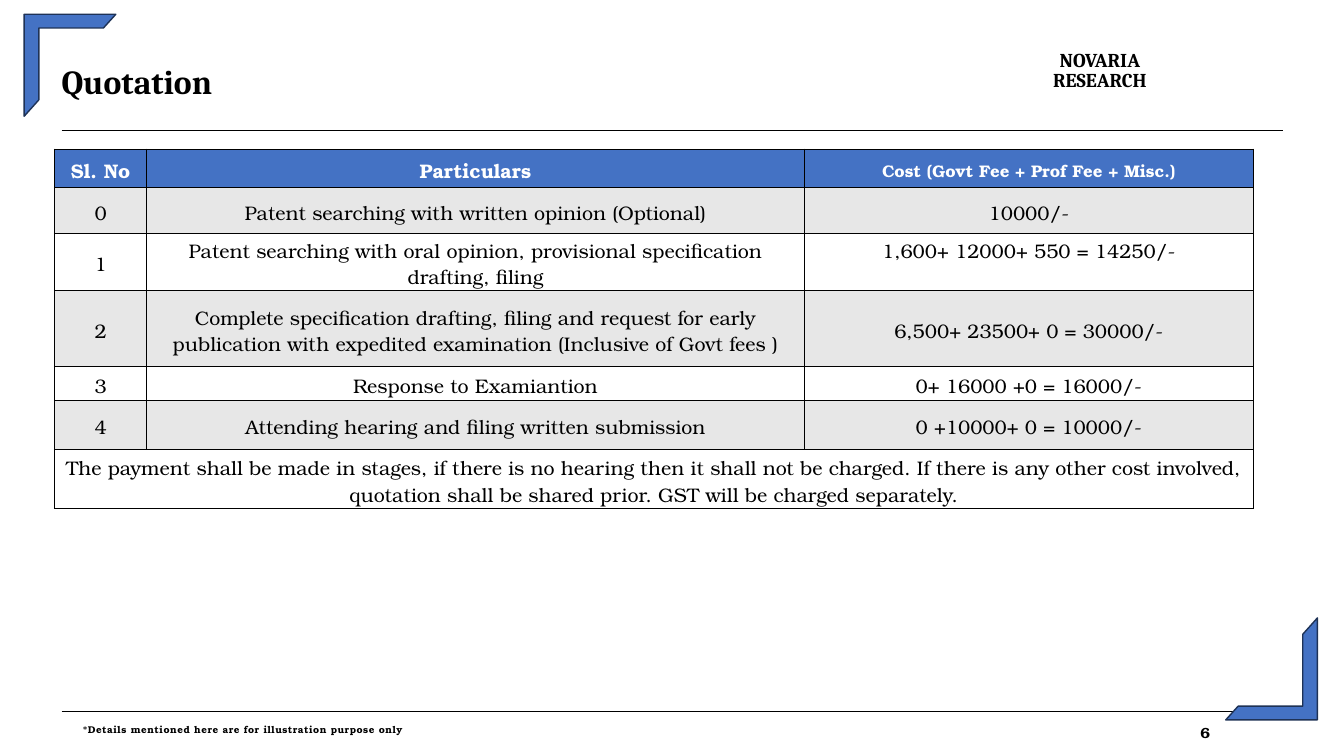
from lxml import etree
from pptx import Presentation
from pptx import util as u
from pptx.dml.color import RGBColor
from pptx.enum import shapes, text
from pptx.oxml.ns import qn

COLORS = {"black": "000000", "white": "FFFFFF", "blue": "4472C4",
          "navy": "1E3256", "grey": "E7E7E7"}
SERIF, BOOK = "Cambria", "TeX Gyre Bonum"
COLUMN_WIDTHS = [2.33, 16.57, 11.32]
ROW_HEIGHTS = [0.96, 1.16, 1.44, 1.91, 0.86, 1.24, 1.49]
QUOTATION = [
    ["Sl. No", "Particulars", "Cost (Govt Fee + Prof Fee + Misc.)"],
    ["0", "Patent searching with written opinion (Optional)", "10000/-"],
    ["1", "Patent searching with oral opinion, provisional specification drafting, filing",
     "1,600+ 12000+ 550 = 14250/-"],
    ["2", "Complete specification drafting, filing and request for early publication "
          "with expedited examination (Inclusive of Govt fees )",
     "6,500+ 23500+ 0 = 30000/-"],
    ["3", "Response to Examiantion", "0+ 16000 +0 = 16000/-"],
    ["4", "Attending hearing and filing written submission", "0 +10000+ 0 = 10000/-"],
    ["The payment shall be made in stages, if there is no hearing then it shall not be "
     "charged. If there is any other cost involved, quotation shall be shared prior. "
     "GST will be charged separately."],
]


def color(name):
    return RGBColor.from_string(COLORS[name])


class Deck:
    def __init__(self):
        self.presentation = Presentation()
        self.presentation.slide_width = u.Cm(33.87)
        self.presentation.slide_height = u.Cm(19.05)
        self.slide = self.presentation.slides.add_slide(self.presentation.slide_layouts[5])

    def set_text(self, frame, words, font, size, ink="black", bold=True, align="LEFT",
                 line_spacing=1.0, tracking=0):
        frame.text = words
        paragraph = frame.paragraphs[0]
        paragraph.alignment = text.PP_ALIGN[align]
        paragraph.line_spacing = line_spacing
        for run in paragraph.runs:
            for name, value in {"name": font, "size": u.Pt(size), "bold": bold}.items():
                setattr(run.font, name, value)
            run.font.color.rgb = color(ink)
            if tracking:
                run._r.get_or_add_rPr().set("spc", str(tracking))

    def fill_box(self, shape, words, font, size, **style):
        frame = shape.text_frame
        settings = {"margin_left": 0, "margin_right": 0, "margin_top": 0,
                    "margin_bottom": 0, "word_wrap": True,
                    "auto_size": text.MSO_AUTO_SIZE.NONE,
                    "vertical_anchor": text.MSO_ANCHOR.MIDDLE}
        for name, value in settings.items():
            setattr(frame, name, value)
        self.set_text(frame, words, font, size, **style)

    def title(self, words, left, top, width, height):
        shape = self.slide.shapes.title
        box = {"left": left, "top": top, "width": width, "height": height}
        for name, value in box.items():
            setattr(shape, name, u.Cm(value))
        self.fill_box(shape, words, SERIF, 24)

    def label(self, words, left, top, width, height, font, size, **style):
        shape = self.slide.shapes.add_textbox(*map(u.Cm, (left, top, width, height)))
        self.fill_box(shape, words, font, size, **style)

    def rule(self, top):
        line = self.slide.shapes.add_connector(
            shapes.MSO_CONNECTOR.STRAIGHT, *map(u.Cm, (1.55, top, 32.33, top)))
        line.line.width = u.Pt(0.5)
        line.line.color.rgb = color("black")
        etree.SubElement(line._element.spPr, qn("a:effectLst"))

    def corner(self, left, top, rotation):
        shape = self.slide.shapes.add_shape(
            shapes.MSO_SHAPE.HALF_FRAME, *map(u.Cm, (left, top, 2.31, 2.57)))
        shape.adjustments[0] = 0.15
        shape.adjustments[1] = 0.16
        shape.rotation = rotation
        shape.shadow.inherit = False
        shape.fill.solid()
        shape.fill.fore_color.rgb = color("blue")
        shape.line.color.rgb = color("navy")
        shape.line.width = u.Pt(1)

    def cell_style(self, cell, background):
        settings = {"margin_top": u.Cm(0.1), "margin_bottom": 0,
                    "vertical_anchor": text.MSO_ANCHOR.MIDDLE}
        for name, value in settings.items():
            setattr(cell, name, value)
        properties = cell._tc.get_or_add_tcPr()
        for side in ("lnL", "lnR", "lnT", "lnB"):
            border = etree.SubElement(properties, qn("a:" + side), w=str(u.Pt(1)))
            fill = etree.SubElement(border, qn("a:solidFill"))
            etree.SubElement(fill, qn("a:srgbClr"), val=COLORS["black"])
        cell.fill.solid()
        cell.fill.fore_color.rgb = color(background)

    def table(self, rows, left, top):
        table = self.slide.shapes.add_table(
            len(rows), len(COLUMN_WIDTHS), u.Cm(left), u.Cm(top),
            u.Cm(sum(COLUMN_WIDTHS)), u.Cm(sum(ROW_HEIGHTS))).table
        table.first_row = table.horz_banding = False
        for column, width in zip(table.columns, COLUMN_WIDTHS):
            column.width = u.Cm(width)
        for index, (row, height) in enumerate(zip(rows, ROW_HEIGHTS)):
            table.rows[index].height = u.Cm(height)
            header = index == 0
            background = "blue" if header else "grey" if index % 2 else "white"
            for cell in table.rows[index].cells:
                self.cell_style(cell, background)
            if len(row) == 1:
                table.cell(index, 0).merge(table.cell(index, len(COLUMN_WIDTHS) - 1))
            for position, words in enumerate(row):
                self.set_text(table.cell(index, position).text_frame, words, BOOK,
                              12 if header and position == 2 else 14,
                              ink="white" if header else "black", bold=header,
                              align="CENTER")
        table.cell(2, 2).vertical_anchor = text.MSO_ANCHOR.TOP


def main():
    deck = Deck()
    deck.title("Quotation", 1.55, 1.44, 20, 1.2)
    deck.rule(17.92)
    deck.rule(3.29)
    deck.table(QUOTATION, 1.37, 3.76)
    deck.label("NOVARIA\vRESEARCH", 26.2, 1.2, 3.04, 1.2, SERIF, 14,
               align="CENTER", line_spacing=0.87)
    deck.corner(0.61, 0.36, 0)
    deck.corner(30.89, 15.57, 180)
    deck.label("*Details mentioned here are for illustration purpose only",
               2.09, 18.1, 12, 0.55, BOOK, 7, tracking=40)
    deck.label("6", 30.25, 18.18, 0.8, 0.55, BOOK, 10.5)
    deck.presentation.save("out.pptx")


if __name__ == "__main__":
    main()
